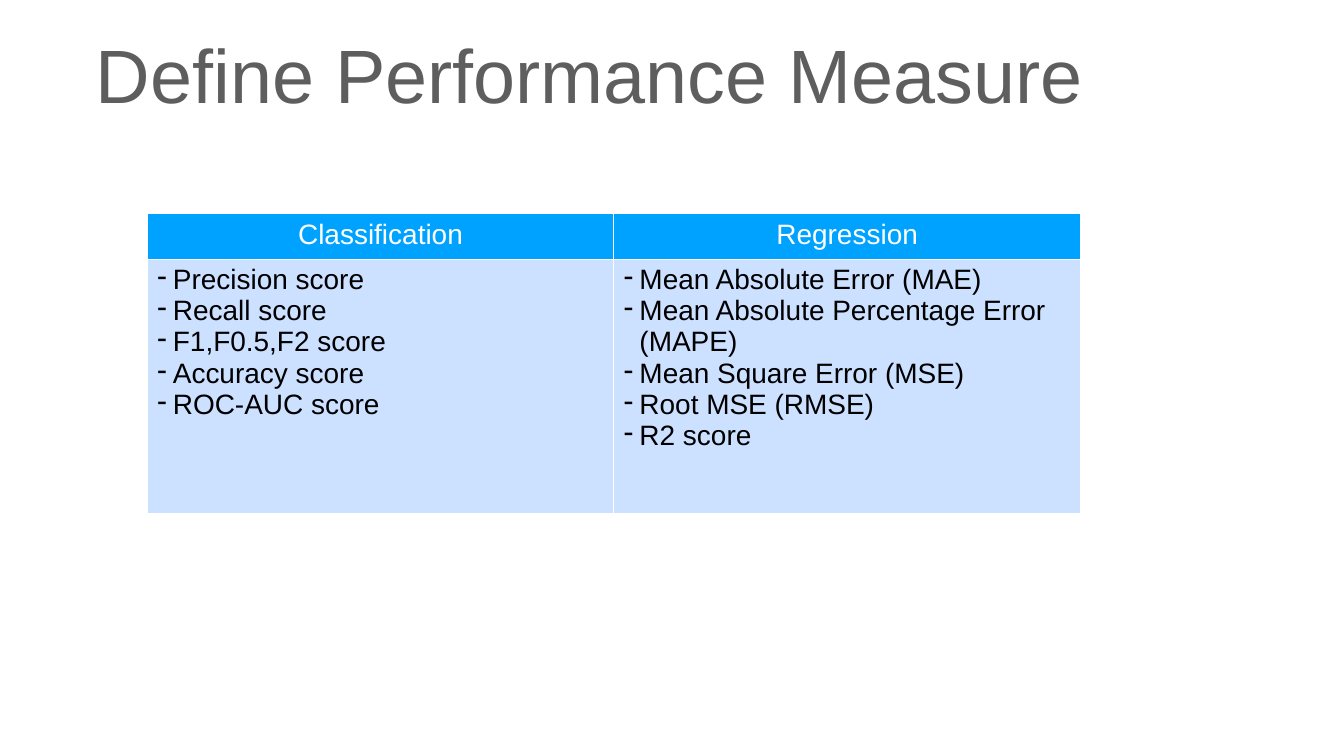
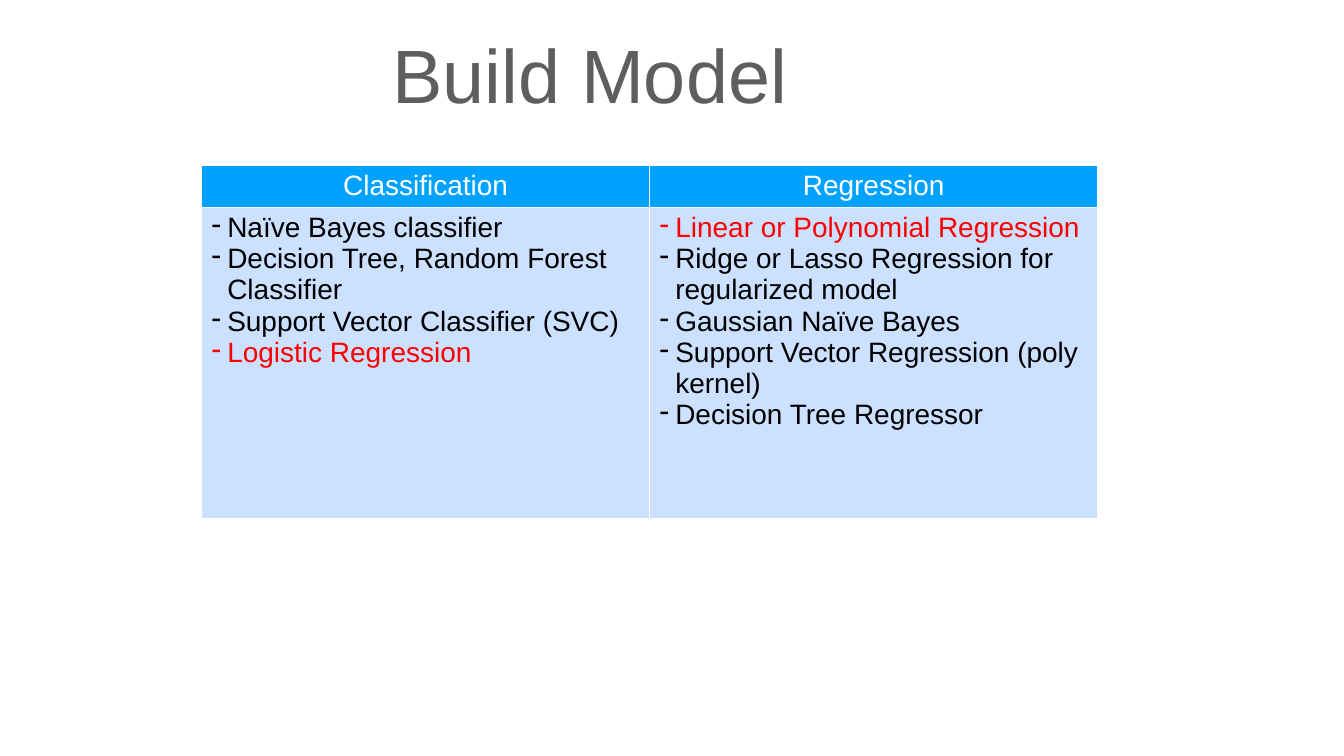
from lxml.etree import SubElement
from pptx import Presentation
from pptx.dml.color import RGBColor
from pptx.enum.text import MSO_ANCHOR as Anchor, MSO_AUTO_SIZE as AutoSize, PP_ALIGN as Align
from pptx.oxml.ns import qn
from pptx.util import Inches, Pt

COLORS = {
    "title": "5E5E5E",
    "header": "00A2FF",
    "body": "CCE0FF",
    "white": "FFFFFF",
    "text": "000000",
    "highlight": "FF0000",
}
FONT = "Arial"
TITLE_ONLY = 5


class Deck:
    def __init__(self, width, height):
        self.prs = Presentation()
        self.prs.slide_width, self.prs.slide_height = Inches(width), Inches(height)
        self.slide = None

    def across(self, percent):
        return round(self.prs.slide_width * percent / 100)

    def down(self, percent):
        return round(self.prs.slide_height * percent / 100)

    def add_slide(self, heading):
        self.slide = self.prs.slides.add_slide(self.prs.slide_layouts[TITLE_ONLY])
        title = self.slide.shapes.title
        title.left, title.top = self.across(0.75), 0
        title.width, title.height = self.across(86.24), self.down(19.33)
        frame = title.text_frame
        frame.word_wrap = True
        frame.auto_size = AutoSize.NONE
        frame.vertical_anchor = Anchor.MIDDLE
        frame.margin_left = frame.margin_right = Inches(0.06)
        frame.margin_top = frame.margin_bottom = Inches(0.06)
        frame.paragraphs[0].alignment = Align.CENTER
        self.add_run(frame.paragraphs[0], heading, 108, "title")

    def add_run(self, paragraph, text, size, color):
        run = paragraph.add_run()
        run.text = text
        run.font.name = FONT
        run.font.size = Pt(size)
        run.font.bold = False
        run.font.color.rgb = RGBColor.from_string(COLORS[color])

    def add_bullet(self, paragraph):
        properties = paragraph._p.get_or_add_pPr()
        indent = Inches(0.31)
        properties.set("marL", str(indent))
        properties.set("indent", str(-indent))
        SubElement(properties, qn("a:buChar"), char="-")

    def style_cell(self, cell, fill):
        cell.margin_left = cell.margin_right = Inches(0.2)
        cell.margin_top = cell.margin_bottom = Inches(0.1)
        properties = cell._tc.get_or_add_tcPr()
        for side in "LRTB":
            line = SubElement(properties, qn(f"a:ln{side}"), w=str(Pt(1)))
            solid = SubElement(line, qn("a:solidFill"))
            SubElement(solid, qn("a:srgbClr"), val=COLORS["white"])
        cell.fill.solid()
        cell.fill.fore_color.rgb = RGBColor.from_string(COLORS[fill])

    def add_comparison(self, left, top, width, row_heights, topics, highlights=()):
        table = self.slide.shapes.add_table(
            2, len(topics), self.across(left), self.down(top),
            self.across(width), self.down(sum(row_heights)),
        ).table
        for row, height in zip(table.rows, row_heights):
            row.height = self.down(height)
        for column, (topic, entries) in enumerate(topics.items()):
            header, body = table.cell(0, column), table.cell(1, column)
            self.style_cell(header, "header")
            self.style_cell(body, "body")
            heading = header.text_frame.paragraphs[0]
            heading.alignment = Align.CENTER
            self.add_run(heading, topic, 40, "white")
            for index, entry in enumerate(entries):
                frame = body.text_frame
                item = frame.add_paragraph() if index else frame.paragraphs[0]
                self.add_bullet(item)
                self.add_run(item, entry, 40, "highlight" if entry in highlights else "text")


def main():
    deck = Deck(26.67, 15)

    deck.add_slide("Define Performance Measure")
    deck.add_comparison(10.95, 28.27, 69.44, (6, 33.67), {
        "Classification": [
            "Precision score",
            "Recall score",
            "F1,F0.5,F2 score",
            "Accuracy score",
            "ROC-AUC score",
        ],
        "Regression": [
            "Mean Absolute Error (MAE)",
            "Mean Absolute Percentage Error (MAPE)",
            "Mean Square Error (MSE)",
            "Root MSE (RMSE)",
            "R2 score",
        ],
    })

    deck.add_slide("Build Model")
    deck.add_comparison(15, 21.87, 66.67, (5.53, 41.13), {
        "Classification": [
            "Naïve Bayes classifier",
            "Decision Tree, Random Forest Classifier",
            "Support Vector Classifier (SVC)",
            "Logistic Regression",
        ],
        "Regression": [
            "Linear or Polynomial Regression",
            "Ridge or Lasso Regression for regularized model",
            "Gaussian Naïve Bayes",
            "Support Vector Regression (poly kernel)",
            "Decision Tree Regressor",
        ],
    }, highlights=("Logistic Regression", "Linear or Polynomial Regression"))

    deck.prs.save("out.pptx")


if __name__ == "__main__":
    main()
